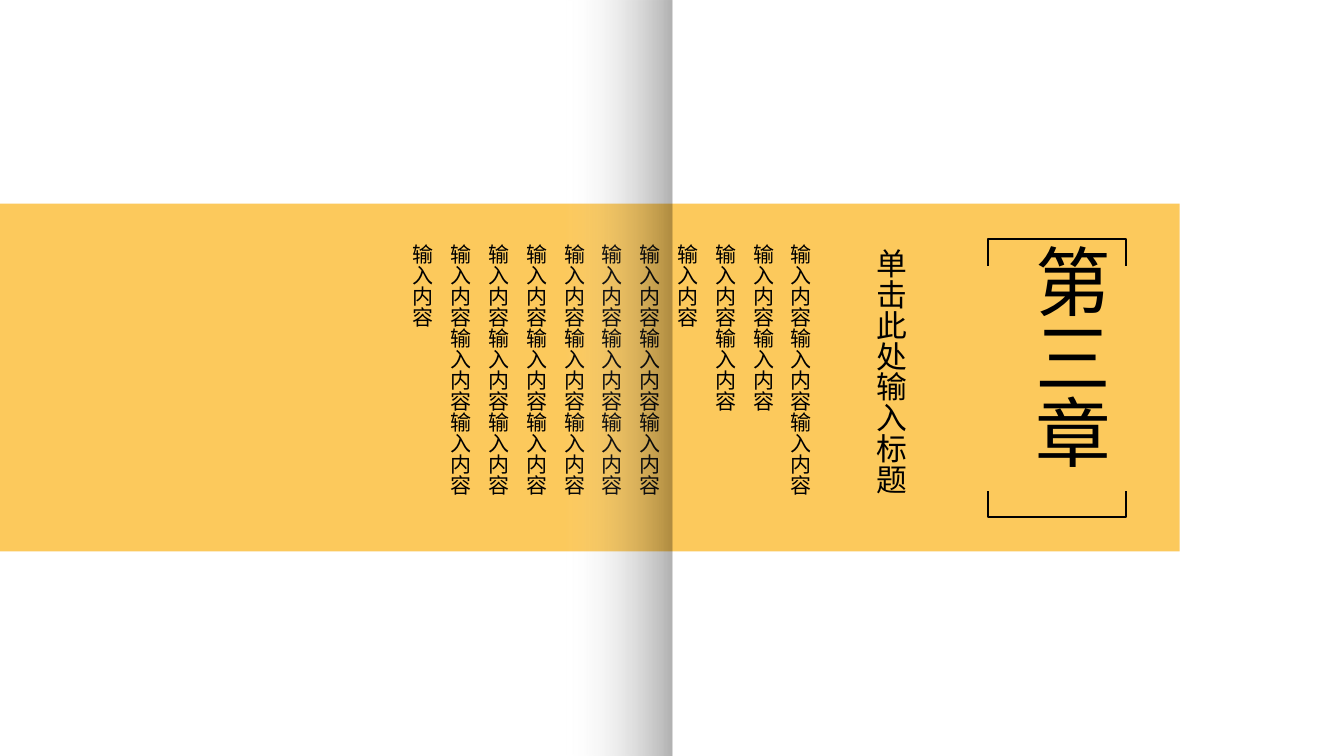
from pptx import Presentation
from pptx.dml.color import RGBColor
from pptx.enum import shapes, text
from pptx.oxml.ns import qn
from pptx.util import Inches, Pt
from lxml import etree

COLORS = {"band": "FCC95C", "ink": "000000", "paper": "FFFFFF"}
HEADING_FONT, BODY_FONT = "Noto Sans CJK JP", "Noto Sans CJK SC"

CHAPTER = "第三章"
SUBTITLE = "单击此处输入标题"
PHRASE = "输入内容"
REPEATS = [5, 2, 1, 3, 9, 3, 4]

WIDTH, HEIGHT = 13.33, 7.5
TOP, COLUMN = 2.37, 2.76
BAND = (-0.01, 2.02, 11.71, 3.45)
FRAME = (9.8, TOP, 1.37, COLUMN)
FRAME_GAP = (9.73, 2.64, 1.52, 2.23)
FOLD = (0, 0, WIDTH / 2, HEIGHT)
FOLD_STOPS = [(0.84, "paper", 0), (1, "ink", 30)]


def rgb(name):
    return RGBColor.from_string(COLORS[name])


def place(part, left, top, width, height):
    part.left, part.top = Inches(left), Inches(top)
    part.width, part.height = Inches(width), Inches(height)


def add_rect(slide, box, fill=None, line=None):
    rect = slide.shapes.add_shape(shapes.MSO_SHAPE.RECTANGLE, *map(Inches, box))
    rect.shadow.inherit = False
    if fill:
        rect.fill.solid()
        rect.fill.fore_color.rgb = rgb(fill)
    else:
        rect.fill.background()
    if line:
        rect.line.color.rgb = rgb(line)
        rect.line.width = Pt(1.5)
    else:
        rect.line.fill.background()
    return rect


def write_vertical(part, lines, *, size, font, spacing=1.0, align=text.PP_ALIGN.LEFT):
    frame = part.text_frame
    frame.word_wrap = True
    frame.auto_size = text.MSO_AUTO_SIZE.SHAPE_TO_FIT_TEXT
    frame.vertical_anchor = text.MSO_ANCHOR.TOP
    frame._txBody.bodyPr.set("vert", "eaVert")
    frame.text = "\n".join(lines)
    for paragraph in frame.paragraphs:
        props = paragraph._p.get_or_add_pPr()
        props.set("marL", "0")
        props.set("indent", "0")
        etree.SubElement(props, qn("a:buNone"))
        paragraph.alignment = align
        paragraph.line_spacing = spacing
        paragraph.space_before = Pt(0)
        for run in paragraph.runs:
            run.font.size = Pt(size)
            run.font.color.rgb = rgb("ink")
            run.font.name = font
            etree.SubElement(run._r.get_or_add_rPr(), qn("a:ea")).set("typeface", font)


def add_fold(slide):
    fold = add_rect(slide, FOLD)
    fold.fill.gradient()
    fold.fill.gradient_angle = 0
    for stop, (position, color, _) in zip(fold.fill.gradient_stops, FOLD_STOPS):
        stop.position = position
        stop.color.rgb = rgb(color)
    tints = fold.element.spPr.findall(".//" + qn("a:gs") + "/" + qn("a:srgbClr"))
    for tint, (_, _, opacity) in zip(tints, FOLD_STOPS):
        etree.SubElement(tint, qn("a:alpha")).set("val", str(opacity * 1000))


def main():
    deck = Presentation()
    deck.slide_width, deck.slide_height = Inches(WIDTH), Inches(HEIGHT)
    slide = deck.slides.add_slide(deck.slide_layouts[1])
    chapter, body = slide.placeholders

    add_rect(slide, BAND, fill="band")
    add_rect(slide, FRAME, line="ink")
    add_rect(slide, FRAME_GAP, fill="band")

    for part in (chapter, body):
        slide.shapes.element.append(part.element)
    place(chapter, 10.06, TOP, 1.11, COLUMN)
    write_vertical(chapter, [CHAPTER], size=54, font=HEADING_FONT,
                   align=text.PP_ALIGN.CENTER)
    place(body, 3.92, TOP, 4.37, COLUMN)
    write_vertical(body, [PHRASE * count for count in REPEATS], size=15,
                   font=BODY_FONT, spacing=1.5)

    subtitle = slide.shapes.add_textbox(*map(Inches, (8.5, TOP, 0.75, COLUMN)))
    write_vertical(subtitle, [SUBTITLE], size=22, font=HEADING_FONT, spacing=1.5)

    add_fold(slide)
    deck.save("out.pptx")


if __name__ == "__main__":
    main()
